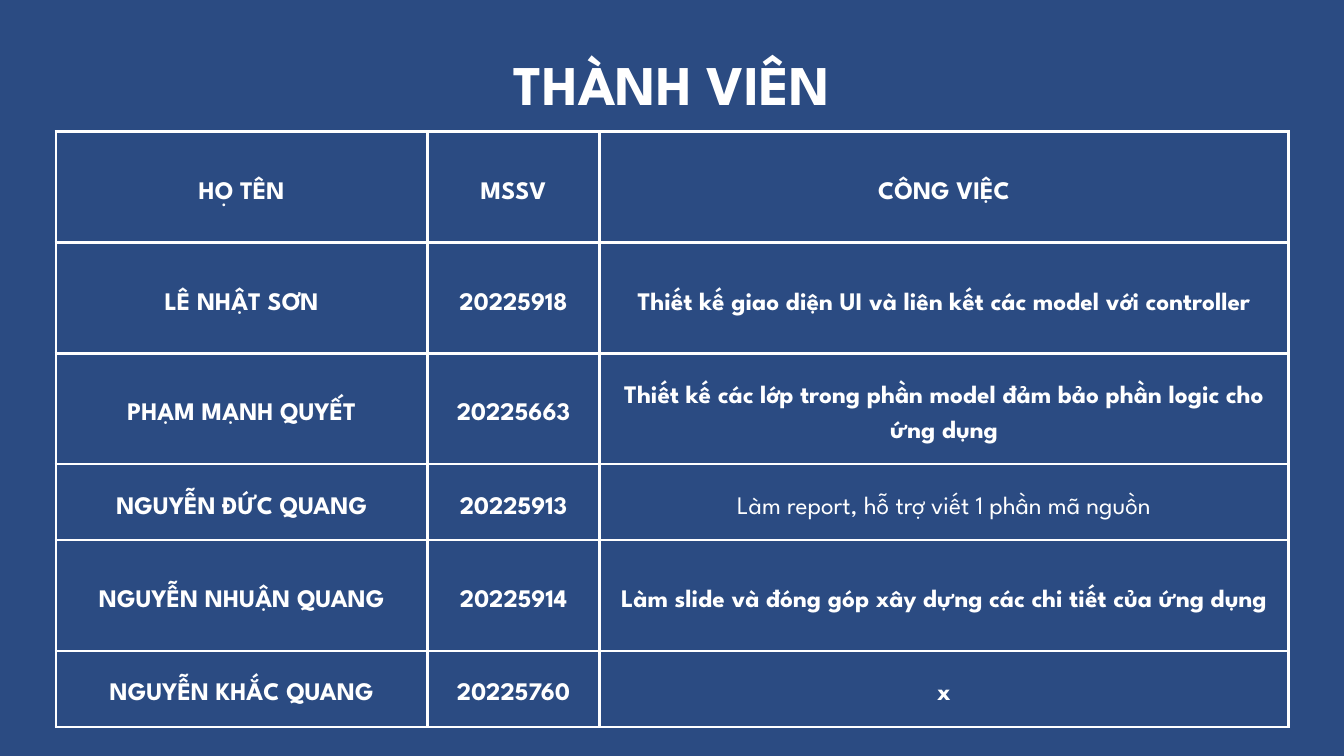
from dataclasses import dataclass

from lxml import etree
from pptx import Presentation
from pptx import util as u
from pptx.dml.color import RGBColor
from pptx.enum import text
from pptx.oxml import ns


@dataclass(frozen=True)
class Theme:
    font: str = "League Spartan"
    back: str = "2B4B82"
    ink: str = "FFFFFF"
    title_size: float = 60
    title_leading: float = 67.2
    cell_size: float = 27
    cell_leading: float = 37.8
    border: float = 3
    inset: float = 0.53


class Deck:
    def __init__(self, prs, theme):
        self.theme = theme
        self.s = prs.slides.add_slide(prs.slide_layouts[6])
        fill = self.s.background.fill
        fill.solid()
        fill.fore_color.rgb = RGBColor.from_string(theme.back)

    def label(self, tf, words, size, leading, bold=True):
        tf.word_wrap = True
        p = tf.paragraphs[0]
        p.alignment = text.PP_ALIGN.CENTER
        p.line_spacing = u.Pt(leading)
        r = p.add_run()
        r.text = words
        formats = {"name": self.theme.font, "size": u.Pt(size), "bold": bold}
        for key, value in formats.items():
            setattr(r.font, key, value)
        r.font.color.rgb = RGBColor.from_string(self.theme.ink)

    def margins(self, target, inset):
        for side in ("left", "top", "right", "bottom"):
            setattr(target, f"margin_{side}", u.Cm(inset))

    def title(self, words, left, top, width, height):
        sp = self.s.shapes.add_textbox(*map(u.Cm, (left, top, width, height)))
        tf = sp.text_frame
        self.margins(tf, 0)
        self.label(tf, words, self.theme.title_size, self.theme.title_leading)
        tf.auto_size = text.MSO_AUTO_SIZE.SHAPE_TO_FIT_TEXT

    def borders(self, cell):
        tc_pr = cell._tc.get_or_add_tcPr()
        for i, tag in enumerate(("a:lnL", "a:lnR", "a:lnT", "a:lnB")):
            ln = etree.Element(ns.qn(tag), w=str(u.Pt(self.theme.border)))
            fill = etree.SubElement(ln, ns.qn("a:solidFill"))
            etree.SubElement(fill, ns.qn("a:srgbClr"), val=self.theme.ink)
            tc_pr.insert(i, ln)

    def table(self, rows, left, top, widths, heights, light=()):
        box = map(u.Cm, (left, top, sum(widths), sum(heights)))
        table = self.s.shapes.add_table(len(rows), len(widths), *box).table
        table.first_row = table.horz_banding = False
        for column, width in zip(table.columns, widths):
            column.width = u.Cm(width)
        for row, height in zip(table.rows, heights):
            row.height = u.Cm(height)
        for i, row in enumerate(rows):
            for j, words in enumerate(row):
                cell = table.cell(i, j)
                cell.fill.background()
                cell.vertical_anchor = text.MSO_ANCHOR.MIDDLE
                self.margins(cell, self.theme.inset)
                self.label(cell.text_frame, words, self.theme.cell_size,
                           self.theme.cell_leading, (i, j) not in light)
                self.borders(cell)


MEMBERS = [
    ("HỌ TÊN", "MSSV", "CÔNG VIỆC"),
    ("LÊ NHẬT SƠN", "20225918",
     "Thiết kế giao diện UI và liên kết các model với controller"),
    ("PHẠM MẠNH QUYẾT", "20225663",
     "Thiết kế các lớp trong phần model đảm bảo phần logic cho ứng dụng"),
    ("NGUYỄN ĐỨC QUANG", "20225913",
     "Làm report, hỗ trợ viết 1 phần mã nguồn"),
    ("NGUYỄN NHUẬN QUANG", "20225914",
     "Làm slide và đóng góp xây dựng các chi tiết của ứng dụng"),
    ("NGUYỄN KHẮC QUANG", "20225760", "x"),
]


def main():
    prs = Presentation()
    prs.slide_width, prs.slide_height = u.Cm(50.8), u.Cm(28.58)
    deck = Deck(prs, Theme())
    tall, short = 4.19, 2.87
    deck.table(MEMBERS, 2.11, 4.98, (14.05, 6.5, 26.04),
               (tall, tall, tall, short, tall, short), light={(3, 2)})
    deck.title("THÀNH VIÊN", 18.34, 2.03, 14.12, 2.44)
    prs.save("out.pptx")


if __name__ == "__main__":
    main()
